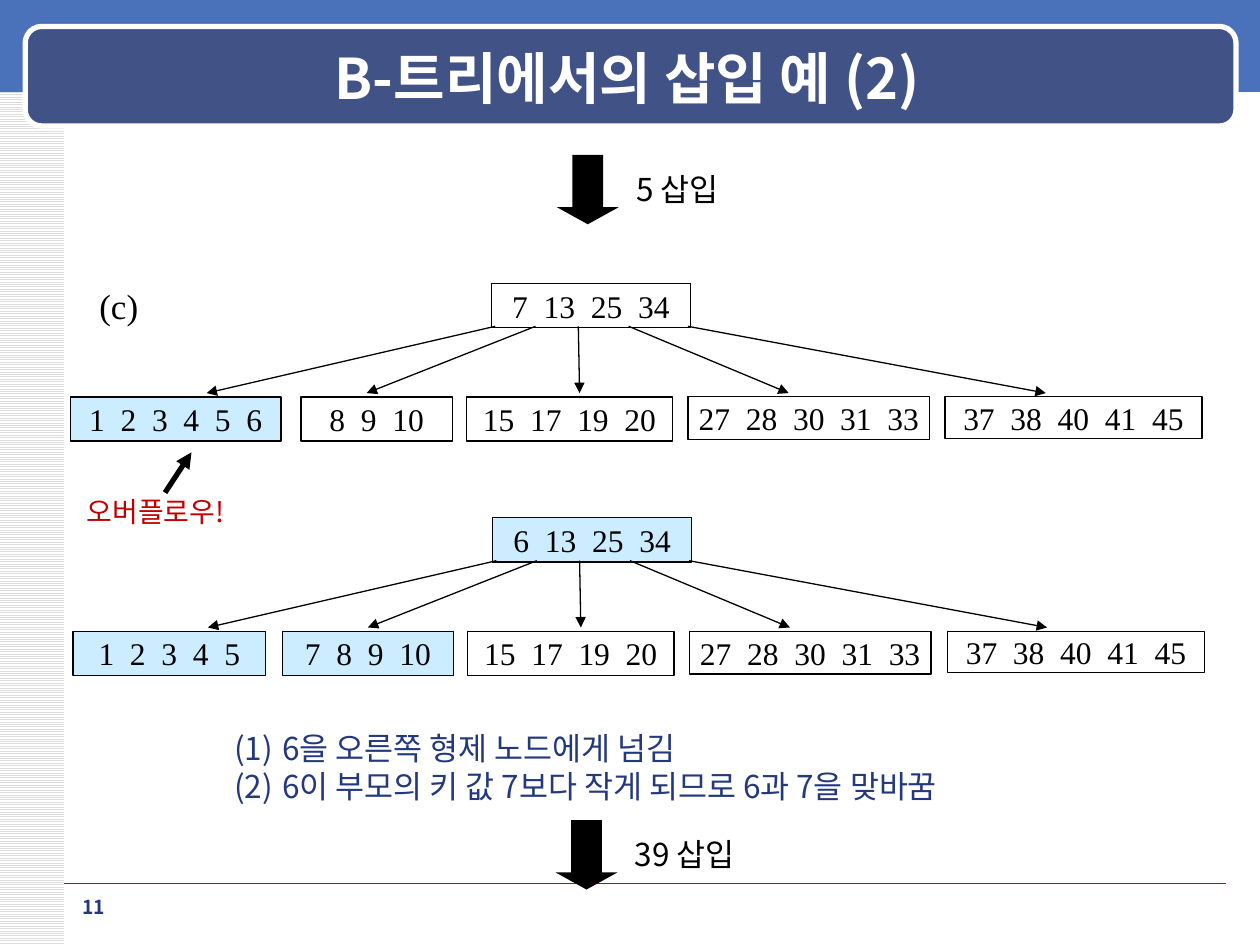
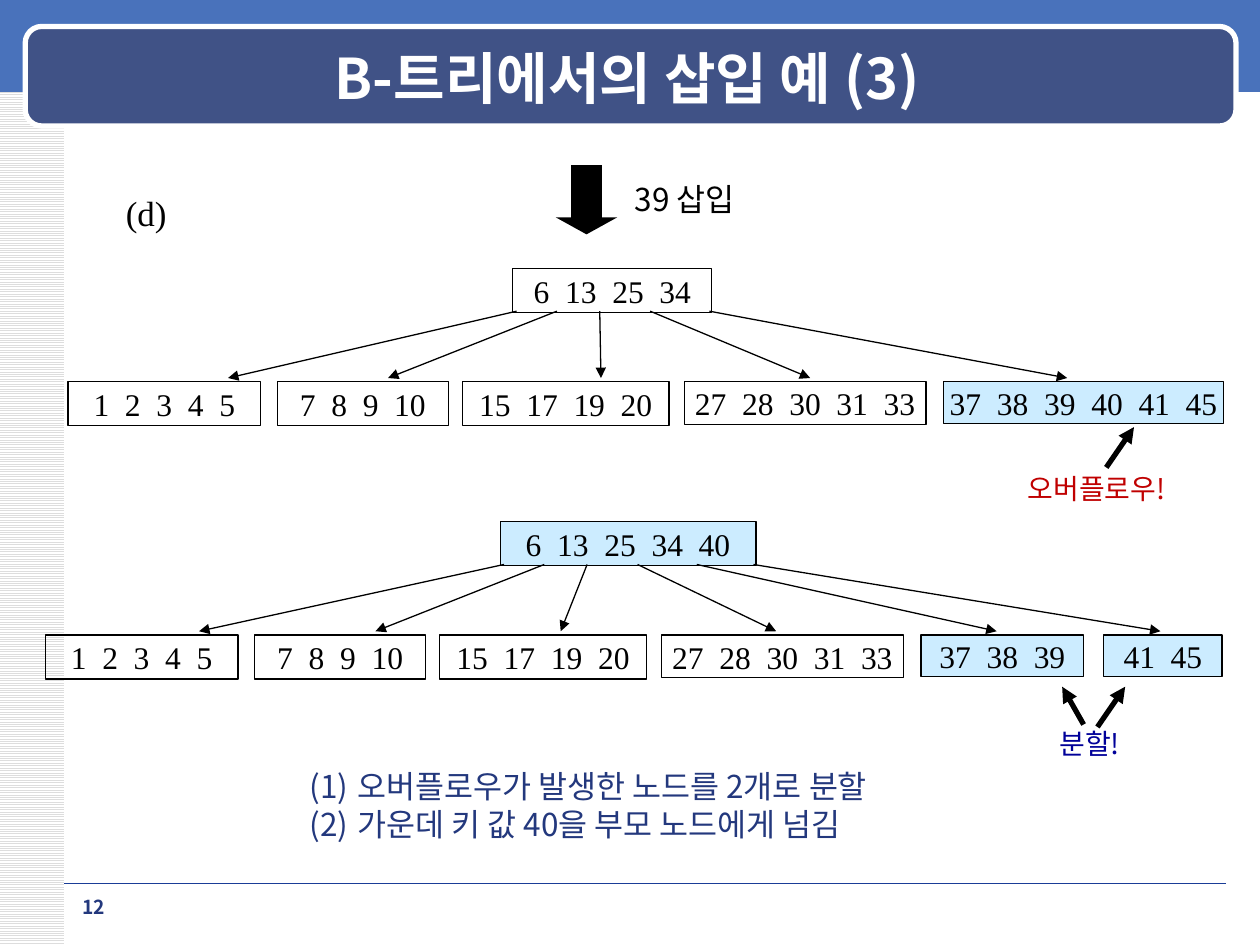
from lxml import etree
from pptx import Presentation
from pptx import util as u
from pptx.dml import color
from pptx.enum import dml, shapes, text
from pptx.oxml import ns

COLORS = {
    "white": "FFFFFF", "black": "000000", "stripe": "DDDDDD", "band": "4972BB",
    "title": "405286", "rule": "1A3D97", "navy": "23387D",
    "highlight": "CCECFF", "overflow": "C00000", "split": "000099",
}
SANS = "Noto Sans CJK KR"
SERIF = "Times New Roman"
# Extra width that keeps a one-line label from breaking
LABEL_SLACK = 0.03

NODE_WIDTHS = {
    "1 2 3 4 5 6": 1.67, "1 2 3 4 5": 1.53, "8 9 10": 1.2, "7 8 9 10": 1.36,
    "15 17 19 20": 1.64, "27 28 30 31 33": 1.92, "37 38 40 41 45": 2.04,
    "37 38 39 40 41 45": 2.22, "37 38 39": 1.29, "41 45": 0.94,
    "7 13 25 34": 1.58, "6 13 25 34": 1.58, "6 13 25 34 40": 2.03,
}
ROOT_HEIGHT = 0.35
LEAF_HEIGHTS = (0.35, 0.35, 0.35, 0.34, 0.33, 0.33)
LEAF_DROP = 0.9
# Pointer ends, measured from the left edge of the root
POINTER_STARTS = (0.03, 0.35, 0.69, 1.09, 1.56, 2.01)
FIVE_TIPS = (-2.26, -0.99, 0.7, 2.36, 4.4)
SIX_TIPS = (-2.39, -0.99, 0.48, 2.19, 3.94, 5.24)


def rgb(name):
    return color.RGBColor.from_string(COLORS[name])


def inches(*lengths):
    return [u.Inches(length) for length in lengths]


class Deck:
    def __init__(self):
        self.presentation = Presentation()
        self.presentation.slide_width = u.Inches(10)
        self.presentation.slide_height = u.Inches(7.5)
        self.slide = None

    def start_slide(self, title, number):
        self.slide = self.presentation.slides.add_slide(self.presentation.slide_layouts[6])
        stripes = self.box(shapes.MSO_SHAPE.RECTANGLE, (0, 0, 0.51, 7.5))
        stripes.fill.patterned()
        stripes.fill.pattern = dml.MSO_PATTERN.LIGHT_HORIZONTAL
        stripes.fill.fore_color.rgb = rgb("stripe")
        stripes.fill.back_color.rgb = rgb("white")
        self.box(shapes.MSO_SHAPE.RECTANGLE, (0, -0.03, 10, 0.76), "band")
        self.line((0.51, 7.01), (9.73, 7.01), "rule", 0.1)
        self.box(shapes.MSO_SHAPE.ROUNDED_RECTANGLE, (0.2, 0.21, 9.61, 0.79),
                 "title", "white", 3)
        heading = self.label(title, (0.71, 0.3, 8.54, 0.62), 32, "white",
                             bold=True, centered=True)
        heading.text_frame.vertical_anchor = text.MSO_ANCHOR.MIDDLE
        self.label(str(number), (0.51, 7.06, 0.47, 0.27), 11, "navy",
                   bold=True, centered=True)

    def box(self, kind, place, fill=None, line=None, line_width=0.75):
        shape = self.slide.shapes.add_shape(kind, *inches(*place))
        shape.shadow.inherit = False
        if fill:
            shape.fill.solid()
            shape.fill.fore_color.rgb = rgb(fill)
        else:
            shape.fill.background()
        if line:
            shape.line.color.rgb = rgb(line)
            shape.line.width = u.Pt(line_width)
        else:
            shape.line.fill.background()
        return shape

    def line(self, start, end, line="black", width=0.75, arrow=False):
        connector = self.slide.shapes.add_connector(
            shapes.MSO_CONNECTOR.STRAIGHT, *inches(*start, *end))
        connector.line.color.rgb = rgb(line)
        connector.line.width = u.Pt(width)
        properties = connector.element.spPr
        if arrow:
            outline = properties.find(ns.qn("a:ln"))
            etree.SubElement(outline, ns.qn("a:tailEnd"), type="triangle")
        etree.SubElement(properties, ns.qn("a:effectLst"))

    def format_text(self, shape, size, name, font=SANS, bold=False, centered=False):
        for paragraph in shape.text_frame.paragraphs:
            paragraph.alignment = text.PP_ALIGN.CENTER if centered else text.PP_ALIGN.LEFT
            for run in paragraph.runs:
                run.font.size = u.Pt(size)
                run.font.name = font
                run.font.bold = bold
                run.font.color.rgb = rgb(name)
                properties = run._r.get_or_add_rPr()
                properties.set("kern", "0")
                etree.SubElement(properties, ns.qn("a:ea"), typeface=font)

    def label(self, words, place, size, name="black", font=SANS, bold=False,
              centered=False, grow=False):
        left, top, width, height = place
        if grow:
            width += LABEL_SLACK
        shape = self.slide.shapes.add_textbox(*inches(left, top, width, height))
        frame = shape.text_frame
        frame.text = words
        frame.word_wrap = not grow
        if grow:
            frame.auto_size = text.MSO_AUTO_SIZE.SHAPE_TO_FIT_TEXT
        self.format_text(shape, size, name, font, bold, centered)
        return shape

    def node(self, keys, left, top, height, highlighted):
        shape = self.box(shapes.MSO_SHAPE.RECTANGLE,
                         (left, top, NODE_WIDTHS[keys], height),
                         "highlight" if highlighted else None, "black")
        shape.text_frame.text = "  ".join(keys.split())
        shape.text_frame.word_wrap = False
        shape.text_frame.vertical_anchor = text.MSO_ANCHOR.MIDDLE
        self.format_text(shape, 18, "black", SERIF, centered=True)

    def tree(self, root, left, top, leaves, tips=FIVE_TIPS, highlighted=()):
        """Draw a root, its leaves as (keys, left) pairs, and the pointers between them."""
        self.node(root, left, top, ROOT_HEIGHT, root in highlighted)
        for (keys, leaf_left), height in zip(leaves, LEAF_HEIGHTS):
            self.node(keys, leaf_left, top + LEAF_DROP, height, keys in highlighted)
        for start, tip in zip(POINTER_STARTS, tips):
            self.line((left + start, top + 0.34), (left + tip, top + 0.87), arrow=True)

    def insertion(self, key, left, top):
        """Draw the block arrow that leads to the next state, with the inserted key."""
        arrow = self.box(shapes.MSO_SHAPE.DOWN_ARROW, (left, top, 0.49, 0.55), "black")
        arrow.adjustments[1] = 0.276
        self.label(f"{key} 삽입", (left + 0.53, top + 0.07, 0.79 + 0.14 * len(key), 0.4),
                   18, grow=True)

    def callout(self, words, place, name, *arrows):
        self.label(words, place, 16, name, grow=True)
        for start, end in arrows:
            self.line(start, end, width=3, arrow=True)

    def steps(self, lines, place):
        shape = self.label("\n".join(lines), place, 18, "navy", grow=True)
        for paragraph in shape.text_frame.paragraphs:
            properties = paragraph._p.get_or_add_pPr()
            properties.set("marL", str(u.Inches(0.38)))
            properties.set("indent", str(-u.Inches(0.38)))
            etree.SubElement(properties, ns.qn("a:buAutoNum"), type="arabicParenBoth")


def build_insert_5(deck):
    deck.start_slide("B-트리에서의 삽입 예 (2)", 11)
    deck.insertion("5", 4.42, 1.23)
    deck.label("(c)", (0.69, 2.21, 0.51, 0.43), 20, font=SERIF, grow=True)
    deck.tree("7 13 25 34", 3.9, 2.25,
              [("1 2 3 4 5 6", 0.56), ("8 9 10", 2.39), ("15 17 19 20", 3.7),
               ("27 28 30 31 33", 5.46), ("37 38 40 41 45", 7.5)],
              highlighted=["1 2 3 4 5 6"])
    deck.callout("오버플로우!", (0.59, 3.88, 1.4, 0.37), "overflow",
                 ((1.31, 3.91), (1.52, 3.59)))
    deck.tree("6 13 25 34", 3.91, 4.11,
              [("1 2 3 4 5", 0.58), ("7 8 9 10", 2.24), ("15 17 19 20", 3.71),
               ("27 28 30 31 33", 5.47), ("37 38 40 41 45", 7.52)],
              highlighted=["6 13 25 34", "1 2 3 4 5", "7 8 9 10"])
    deck.steps(["6을 오른쪽 형제 노드에게 넘김",
                "6이 부모의 키 값 7보다 작게 되므로 6과 7을 맞바꿈"],
               (1.76, 5.74, 6.48, 0.71))
    deck.insertion("39", 4.41, 6.51)


def build_insert_39(deck):
    deck.start_slide("B-트리에서의 삽입 예 (3)", 12)
    deck.insertion("39", 4.41, 1.31)
    deck.label("(d)", (0.9, 1.47, 0.52, 0.43), 20, font=SERIF, grow=True)
    deck.tree("6 13 25 34", 4.07, 2.13,
              [("1 2 3 4 5", 0.54), ("7 8 9 10", 2.2), ("15 17 19 20", 3.67),
               ("27 28 30 31 33", 5.43), ("37 38 39 40 41 45", 7.49)],
              highlighted=["37 38 39 40 41 45"])
    deck.callout("오버플로우!", (8.06, 3.69, 1.4, 0.37), "overflow",
                 ((8.78, 3.71), (9, 3.39)))
    deck.tree("6 13 25 34 40", 3.97, 4.14,
              [("1 2 3 4 5", 0.36), ("7 8 9 10", 2.02), ("15 17 19 20", 3.49),
               ("27 28 30 31 33", 5.25), ("37 38 39", 7.31), ("41 45", 8.76)],
              SIX_TIPS, highlighted=["6 13 25 34 40", "37 38 39", "41 45"])
    deck.callout("분할!", (8.31, 5.72, 0.72, 0.37), "split",
                 ((8.71, 5.77), (8.93, 5.45)), ((8.6, 5.75), (8.43, 5.45)))
    deck.steps(["오버플로우가 발생한 노드를 2개로 분할",
                "가운데 키 값 40을 부모 노드에게 넘김"],
               (2.36, 6.04, 5.12, 0.71))


def main():
    deck = Deck()
    build_insert_5(deck)
    build_insert_39(deck)
    deck.presentation.save("out.pptx")


if __name__ == "__main__":
    main()
